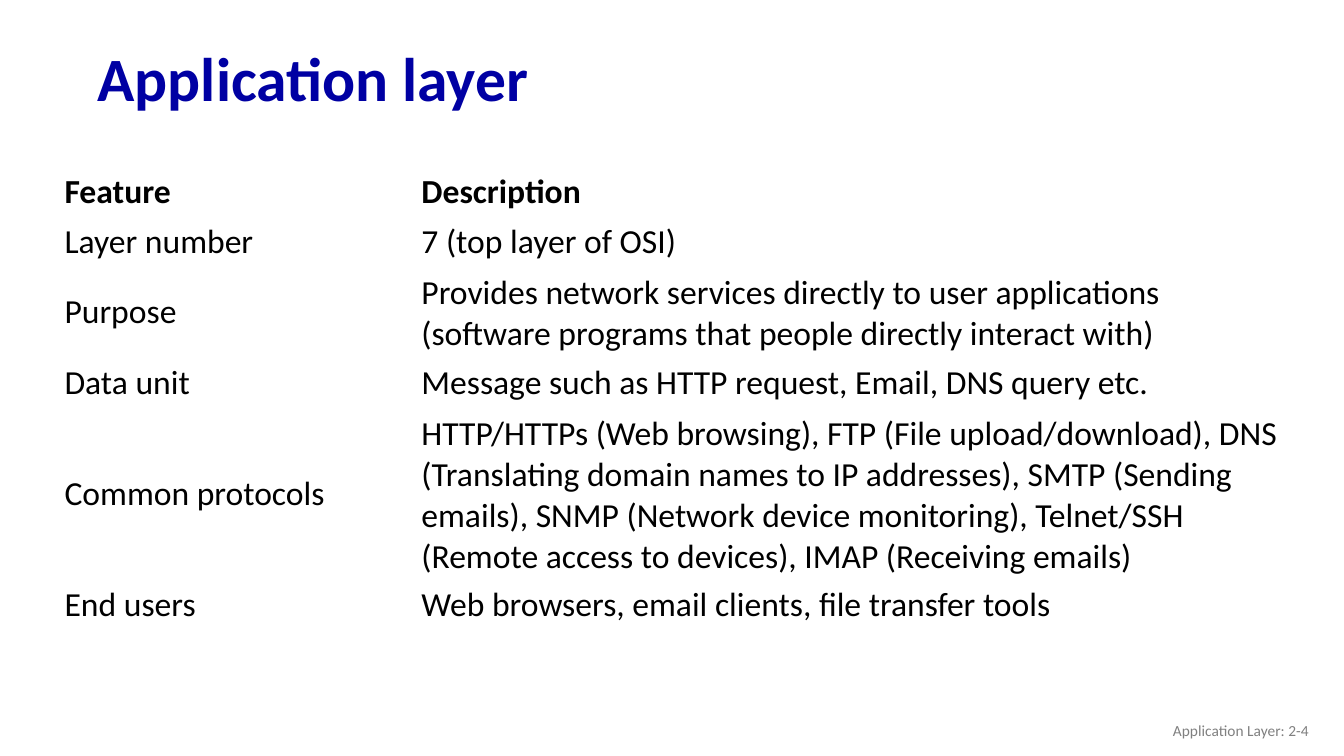
from pptx import Presentation
from pptx.dml.color import RGBColor as RGB
from pptx.enum.text import MSO_ANCHOR as Anchor, PP_ALIGN as Align
from pptx.util import Inches, Pt

COLORS = {"title": "0000A3", "body": "000000", "foot": "808080"}

prs = Presentation()
prs.slide_width, prs.slide_height = Inches(13.33), Inches(7.5)
slide = prs.slides.add_slide(prs.slide_layouts[6])


def write(frame, text, size=24, color="body", bold=False, align=Align.LEFT, space=1.0):
    frame.word_wrap = True
    frame.vertical_anchor = Anchor.MIDDLE
    par = frame.paragraphs[0]
    par.alignment, par.line_spacing = align, space
    run = par.add_run()
    run.text = text
    font = run.font
    font.name, font.size, font.bold = "Calibri", Pt(size), bold
    font.color.rgb = RGB.from_string(COLORS[color])


title = slide.shapes.add_textbox(Inches(0.87), Inches(0.32), Inches(11.5), Inches(0.98))
write(title.text_frame, "Application layer", size=44, color="title", bold=True, space=0.9)

foot = slide.shapes.add_textbox(Inches(10.08), Inches(7.05), Inches(3), Inches(0.4))
write(foot.text_frame, "Application Layer: 2-4", size=11, color="foot", align=Align.RIGHT)

# Feature, description, number of text lines
ROWS = [
    ("Feature", "Description", 1),
    ("Layer number", "7 (top layer of OSI)", 1),
    ("Purpose", "Provides network services directly to user applications "
     "(software programs that people directly interact with)", 2),
    ("Data unit", "Message such as HTTP request, Email, DNS query etc.", 1),
    ("Common protocols", "HTTP/HTTPs (Web browsing), FTP (File upload/download), "
     "DNS (Translating domain names to IP addresses), SMTP (Sending emails), "
     "SNMP (Network device monitoring), Telnet/SSH (Remote access to devices), "
     "IMAP (Receiving emails)", 4),
    ("End users", "Web browsers, email clients, file transfer tools", 1),
]
WIDTHS = [3.54, 8.73]
LINE, PAD = 0.4, 0.1

table = slide.shapes.add_table(len(ROWS), len(WIDTHS), Inches(0.54), Inches(1.65),
                               Inches(sum(WIDTHS)), Inches(4.6)).table
table.first_row = table.horz_banding = False
for col, width in zip(table.columns, WIDTHS):
    col.width = Inches(width)
for r, (name, text, lines) in enumerate(ROWS):
    table.rows[r].height = Inches(lines * LINE + PAD)
    for c, words in enumerate((name, text)):
        cell = table.cell(r, c)
        cell.fill.background()
        cell.vertical_anchor = Anchor.MIDDLE
        write(cell.text_frame, words, bold=r == 0)

prs.save("out.pptx")
